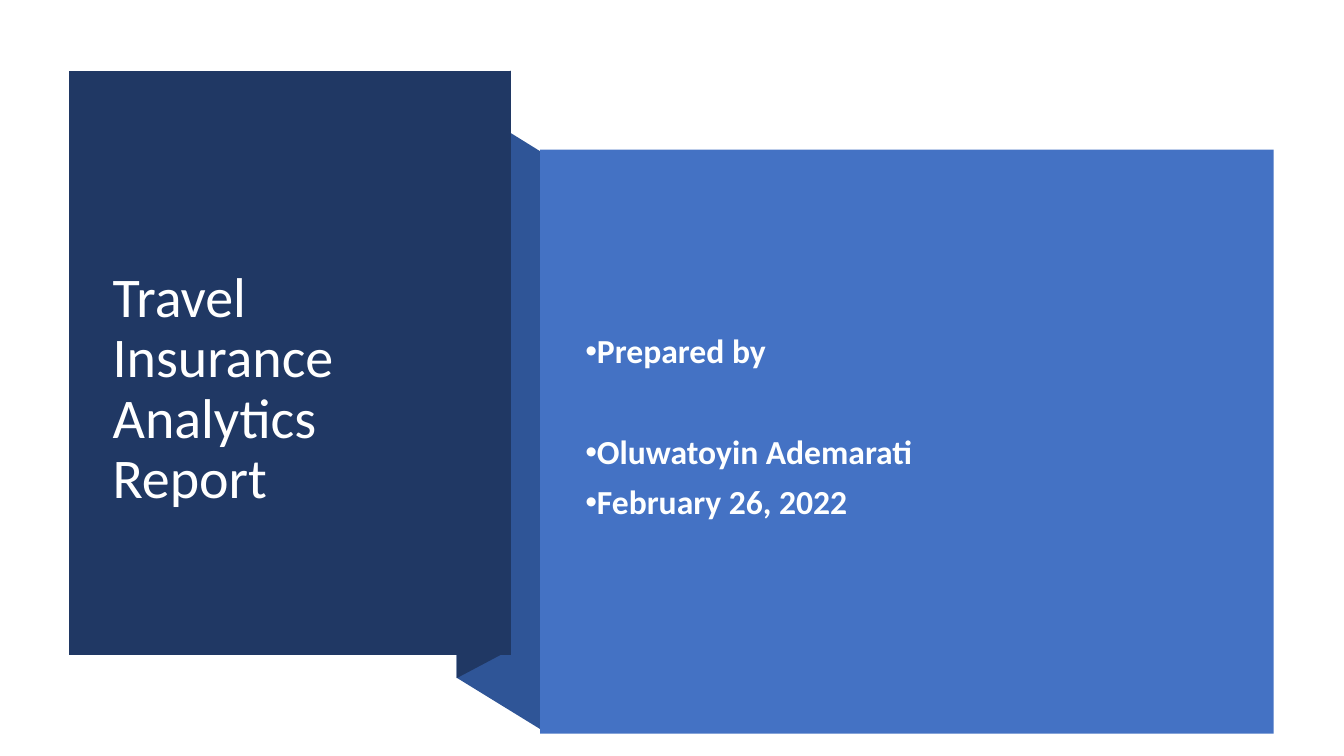
from lxml.etree import SubElement
from pptx import Presentation
from pptx.dml.color import RGBColor
from pptx.enum.shapes import MSO_SHAPE
from pptx.enum.text import MSO_ANCHOR
from pptx.oxml.ns import qn
from pptx.util import Cm, Pt

NAVY = RGBColor(0x20, 0x38, 0x64)
FOLD_BLUE = RGBColor(0x2F, 0x55, 0x97)
PANEL_BLUE = RGBColor(0x44, 0x72, 0xC4)
WHITE = RGBColor(0xFF, 0xFF, 0xFF)
OFF_WHITE = RGBColor(0xFE, 0xFF, 0xFF)
FONT = "Calibri"

# Vertical edges of the folded ribbon, in cm
TITLE_LEFT, FOLD_LEFT, TITLE_RIGHT, PANEL_LEFT = 1.75, 11.51, 12.87, 13.61


def paint(shape, color):
    shape.shadow.inherit = False
    shape.fill.solid()
    shape.fill.fore_color.rgb = color
    shape.line.fill.background()


def add_outline(page, points, color):
    corners = [(Cm(x), Cm(y)) for x, y in points]
    builder = page.shapes.build_freeform(*corners[0])
    builder.add_line_segments(corners[1:], close=True)
    paint(builder.convert_to_shape(), color)


def add_panel(page, left, top, width, height, color):
    panel = page.shapes.add_shape(
        MSO_SHAPE.RECTANGLE, Cm(left), Cm(top), Cm(width), Cm(height))
    paint(panel, color)


def add_text_frame(page, left, top, width, height):
    box = page.shapes.add_textbox(Cm(left), Cm(top), Cm(width), Cm(height))
    frame = box.text_frame
    frame.word_wrap = True
    frame.vertical_anchor = MSO_ANCHOR.MIDDLE
    return frame


def add_run(para, text, size, color, bold=False):
    para.line_spacing = 0.9
    span = para.add_run()
    span.text = text
    span.font.name = FONT
    span.font.size = Pt(size)
    span.font.bold = bold
    span.font.color.rgb = color


def add_bullet(para):
    properties = para._p.get_or_add_pPr()
    properties.set("marL", "0")
    properties.set("indent", "0")
    SubElement(properties, qn("a:buFont")).set("typeface", "Arial")
    SubElement(properties, qn("a:buChar")).set("char", "•")


def add_bullet_list(frame, items):
    for index, (text, space_before) in enumerate(items):
        para = frame.add_paragraph() if index else frame.paragraphs[0]
        para.space_before = Pt(space_before)
        add_run(para, text, 24, OFF_WHITE, bold=True)
        add_bullet(para)


def main():
    deck = Presentation()
    deck.slide_width, deck.slide_height = Cm(33.87), Cm(19.05)
    page = deck.slides.add_slide(deck.slide_layouts[6])

    # Folded ribbon behind the title
    add_outline(page, [(PANEL_LEFT, 18.37), (FOLD_LEFT, 17.08),
                       (FOLD_LEFT, 2.51), (PANEL_LEFT, 3.81)], FOLD_BLUE)
    add_outline(page, [(TITLE_RIGHT, 16.37), (FOLD_LEFT, 17.09),
                       (FOLD_LEFT, 2.49), (TITLE_RIGHT, 1.78)], NAVY)
    add_outline(page, [(TITLE_LEFT, 1.78), (TITLE_RIGHT, 1.78),
                       (TITLE_RIGHT, 16.5), (TITLE_LEFT, 16.5)], NAVY)

    # Title, set one line below the middle
    title = add_text_frame(page, 2.59, 2.72, 9.42, 12.67)
    title.margin_top = Cm(1.67)
    add_run(title.paragraphs[0], "Travel Insurance Analytics Report", 40, WHITE)

    # Author panel
    add_panel(page, PANEL_LEFT, 3.77, 18.49, 14.72, PANEL_BLUE)
    author = add_text_frame(page, 14.5, 4.78, 16.54, 12.04)
    add_bullet_list(author, [("Prepared by", 10),
                             ("Oluwatoyin Ademarati", 46),
                             ("February 26, 2022", 10)])

    deck.save("out.pptx")


main()
